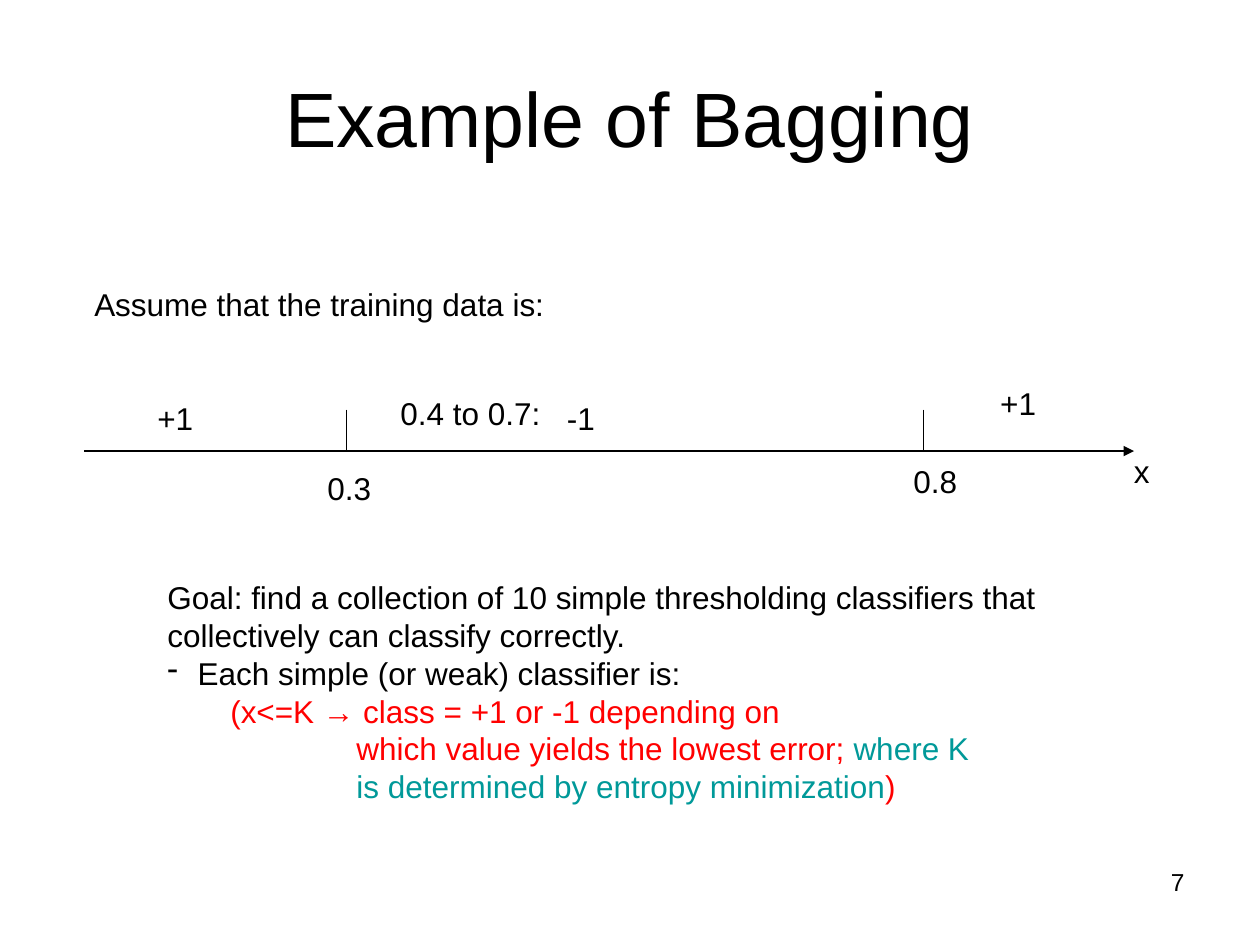
"""Build the "Example of Bagging" slide: a labelled number line and the goal."""
import pptx
import pptx.dml.color
import pptx.enum.shapes
import pptx.enum.text
import pptx.oxml.ns
import pptx.util
from lxml import etree

Inches = pptx.util.Inches
ALIGN = pptx.enum.text.PP_ALIGN
ANCHOR = pptx.enum.text.MSO_ANCHOR
FIT = pptx.enum.text.MSO_AUTO_SIZE

THEME = {
    "font": "Arial",
    "ink": "000000", "rule": "FF0000", "choice": "009999",
    "title": 44, "body": 18, "number": 14, "line": 0.75,
}

TITLE = "Example of Bagging"
SLIDE_NUMBER = "7"
INTRO = ("Assume that the training data is:", 0.65, 2.21, 3.77)
AXIS_LABELS = [
    ("0.3", 2.5, 3.67, 0.55),
    ("0.8", 7.15, 3.62, 0.55),
    ("x", 8.9, 3.54, 0.32),
    ("+1", 1.15, 3.12, 0.5),
    ("+1", 7.84, 3.0, 0.5),
    ("-1", 4.4, 3.12, 0.42),
    ("0.4 to 0.7:", 3.08, 3.08, 1.31),
]
AXIS_START, AXIS_END, AXIS_Y = 0.67, 9, 3.58
TICK_TOP, THRESHOLDS = 3.25, (2.75, 7.33)

GOAL = [
    {"runs": [("Goal: find a collection of 10 simple thresholding classifiers that\n"
               "collectively can classify correctly.", "ink")]},
    {"runs": [("Each simple (or weak) classifier is:", "ink")],
     "margin": 0.24, "bullet": "-"},
    {"runs": [("(x<=K → class = +1 or -1 depending on", "rule")], "margin": 0.5},
    {"runs": [("which value yields the lowest error; ", "rule"),
              ("where K\nis determined by entropy minimization", "choice"),
              (")", "rule")], "margin": 1.5},
]


def color(role):
    return pptx.dml.color.RGBColor.from_string(THEME[role])


def add_runs(paragraph, runs, size):
    for text, role in runs:
        for index, line in enumerate(text.split("\n")):
            if index:
                paragraph.add_line_break()
            run = paragraph.add_run()
            run.text = line
            font_format = {"name": THEME["font"], "size": pptx.util.Pt(THEME[size])}
            for key, value in font_format.items():
                setattr(run.font, key, value)
            run.font.color.rgb = color(role)


def indent(paragraph, margin, bullet=None):
    properties = paragraph._p.get_or_add_pPr()
    properties.set("marL", str(Inches(margin)))
    properties.set("indent", str(-Inches(margin) if bullet else 0))
    if bullet:
        mark = etree.SubElement(properties, pptx.oxml.ns.qn("a:buChar"))
        mark.set("char", bullet)


def add_text(slide, box, paragraphs, size="body", align=ALIGN.LEFT, **frame_format):
    frame = slide.shapes.add_textbox(*map(Inches, box)).text_frame
    defaults = {"word_wrap": False, "auto_size": FIT.SHAPE_TO_FIT_TEXT}
    for key, value in (defaults | frame_format).items():
        setattr(frame, key, value)
    for index, content in enumerate(paragraphs):
        paragraph = frame.add_paragraph() if index else frame.paragraphs[0]
        paragraph.alignment = align
        indent(paragraph, content.get("margin", 0), content.get("bullet"))
        add_runs(paragraph, content["runs"], size)


def add_line(slide, *ends, arrow=False):
    line = slide.shapes.add_connector(
        pptx.enum.shapes.MSO_CONNECTOR.STRAIGHT, *map(Inches, ends))
    line.line.color.rgb = color("ink")
    line.line.width = pptx.util.Pt(THEME["line"])
    if arrow:
        head = etree.SubElement(line.line._get_or_add_ln(), pptx.oxml.ns.qn("a:tailEnd"))
        head.set("type", "triangle")
    etree.SubElement(line._element.spPr, pptx.oxml.ns.qn("a:effectLst"))


def main():
    deck = pptx.Presentation()
    deck.slide_width, deck.slide_height = Inches(10), Inches(7.5)
    slide = deck.slides.add_slide(deck.slide_layouts[6])

    fixed = {"word_wrap": True, "auto_size": FIT.NONE}
    add_text(slide, (7.17, 6.83, 2.33, 0.52), [{"runs": [(SLIDE_NUMBER, "ink")]}],
             "number", ALIGN.RIGHT, **fixed)
    add_text(slide, (0.5, 0.3, 9, 1.25), [{"runs": [(TITLE, "ink")]}],
             "title", ALIGN.CENTER, vertical_anchor=ANCHOR.MIDDLE, **fixed)

    add_line(slide, AXIS_START, AXIS_Y, AXIS_END, AXIS_Y, arrow=True)
    for threshold in THRESHOLDS:
        add_line(slide, threshold, TICK_TOP, threshold, AXIS_Y)

    for label, left, top, width in [INTRO, *AXIS_LABELS]:
        add_text(slide, (left, top, width, 0.4), [{"runs": [(label, "ink")]}])
    add_text(slide, (1.23, 4.54, 7.16, 1.9), GOAL)

    deck.save("out.pptx")


if __name__ == "__main__":
    main()
